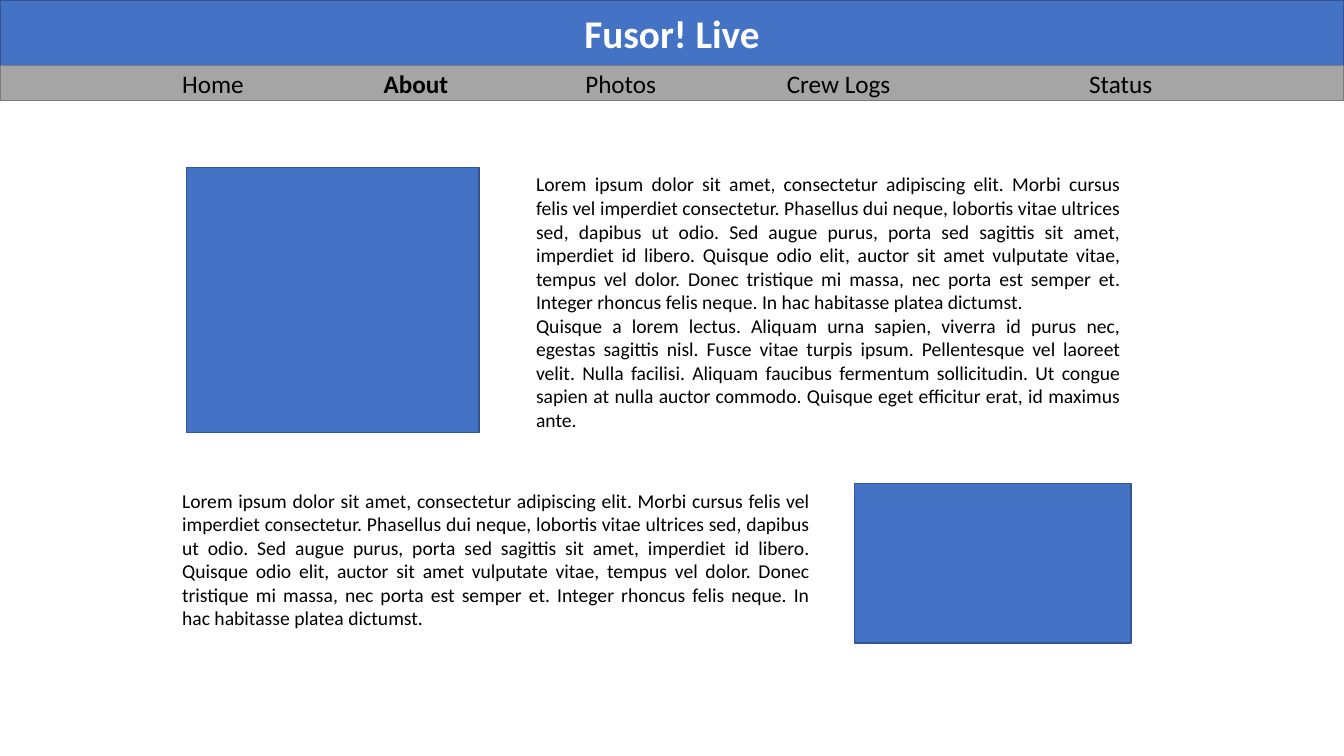
from dataclasses import dataclass

from lxml import etree
from pptx import Presentation
from pptx.dml.color import RGBColor
from pptx.enum.shapes import MSO_SHAPE
from pptx.enum.text import MSO_ANCHOR, MSO_AUTO_SIZE, PP_ALIGN
from pptx.oxml.ns import qn
from pptx.util import Cm, Pt

RECT = MSO_SHAPE.RECTANGLE
MIDDLE, TOP = MSO_ANCHOR.MIDDLE, MSO_ANCHOR.TOP
CENTER, JUSTIFY, LEFT = PP_ALIGN.CENTER, PP_ALIGN.JUSTIFY, PP_ALIGN.LEFT
FIT_SHAPE, NO_FIT = MSO_AUTO_SIZE.SHAPE_TO_FIT_TEXT, MSO_AUTO_SIZE.NONE
TITLE_ONLY = 5


@dataclass(frozen=True)
class Theme:
    font: str = "Calibri"
    blue: RGBColor = RGBColor(0x44, 0x72, 0xC4)
    blue_line: RGBColor = RGBColor(0x32, 0x54, 0x91)
    grey: RGBColor = RGBColor(0xA5, 0xA5, 0xA5)
    grey_line: RGBColor = RGBColor(0x7A, 0x7A, 0x7A)
    white: RGBColor = RGBColor(0xFF, 0xFF, 0xFF)
    black: RGBColor = RGBColor(0, 0, 0)
    title: Pt = Pt(28)
    nav: Pt = Pt(18)
    body: Pt = Pt(14)


THEME = Theme()
WIDTH, HEIGHT = 33.87, 19.05
PAGE_LEFT, PAGE_RIGHT = 4.34, 28.5

# Navigation entries with their tab stops in cm
NAV = [("Home", 0), ("About", 5.08), ("Photos", 10.16),
       ("Crew Logs", 15.24), ("Status", 22.86)]
CURRENT_PAGE = "About"

LOREM = (
    "Lorem ipsum dolor sit amet, consectetur adipiscing elit. Morbi cursus "
    "felis vel imperdiet consectetur. Phasellus dui neque, lobortis vitae "
    "ultrices sed, dapibus ut odio. Sed augue purus, porta sed sagittis sit "
    "amet, imperdiet id libero. Quisque odio elit, auctor sit amet vulputate "
    "vitae, tempus vel dolor. Donec tristique mi massa, nec porta est semper "
    "et. Integer rhoncus felis neque. In hac habitasse platea dictumst."
)
QUISQUE = (
    "Quisque a lorem lectus. Aliquam urna sapien, viverra id purus nec, "
    "egestas sagittis nisl. Fusce vitae turpis ipsum. Pellentesque vel "
    "laoreet velit. Nulla facilisi. Aliquam faucibus fermentum sollicitudin. "
    "Ut congue sapien at nulla auctor commodo. Quisque eget efficitur erat, "
    "id maximus ante."
)


def paint(sp, fill, line):
    sp.fill.solid()
    sp.fill.fore_color.rgb = fill
    sp.line.color.rgb = line
    sp.line.width = Pt(1)


def style(p, size, color, align, bold=False):
    p.alignment = align
    p.font.name = THEME.font
    p.font.size = size
    p.font.color.rgb = color
    p.font.bold = bold


def add_rect(slide, box, fill, line):
    sp = slide.shapes.add_shape(RECT, *map(Cm, box))
    sp.shadow.inherit = False
    paint(sp, fill, line)


def add_text(slide, box):
    tf = slide.shapes.add_textbox(*map(Cm, box)).text_frame
    tf.word_wrap = True
    tf.auto_size = FIT_SHAPE
    tf.vertical_anchor = TOP
    return tf


def add_banner(slide, box, text):
    sp = slide.shapes.title
    sp.left, sp.top, sp.width, sp.height = map(Cm, box)
    paint(sp, THEME.blue, THEME.blue_line)
    tf = sp.text_frame
    tf.text = text
    tf.auto_size = NO_FIT
    tf.vertical_anchor = MIDDLE
    style(tf.paragraphs[0], THEME.title, THEME.white, CENTER, bold=True)


def add_nav(slide, box):
    left, top, width, height = box
    add_rect(slide, box, THEME.grey, THEME.grey_line)
    tf = add_text(slide, (left + PAGE_LEFT, top - 0.05, 28.09, height + 0.13))
    p = tf.paragraphs[0]
    style(p, THEME.nav, THEME.black, LEFT)

    # One tab stop for each entry after the first
    stops = etree.Element(qn("a:tabLst"))
    for name, stop in NAV:
        r = p.add_run()
        r.text = f"\t{name}" if stop else name
        r.font.bold = name == CURRENT_PAGE
        if stop:
            etree.SubElement(stops, qn("a:tab"), pos=str(Cm(stop)), algn="l")
    p._p.get_or_add_pPr().insert(0, stops)


def add_feature(slide, box, photo_size, text_width, paragraphs, photo_first):
    """A photo block and a text, one at each side of the box."""
    left, top, width, height = box
    photo_width, photo_height = photo_size
    photo_left, text_left = left + width - photo_width, left
    if photo_first:
        photo_left, text_left = left, left + width - text_width

    add_rect(slide, (photo_left, top, photo_width, photo_height),
             THEME.blue, THEME.blue_line)
    tf = add_text(slide, (text_left, top, text_width, height))
    for i, text in enumerate(paragraphs):
        p = tf.add_paragraph() if i else tf.paragraphs[0]
        p.text = text
        style(p, THEME.body, THEME.black, JUSTIFY)


def main():
    prs = Presentation()
    prs.slide_width, prs.slide_height = Cm(WIDTH), Cm(HEIGHT)
    slide = prs.slides.add_slide(prs.slide_layouts[TITLE_ONLY])

    # Header
    add_banner(slide, (0, 0, WIDTH, 1.65), "Fusor! Live")
    add_nav(slide, (0, 1.65, WIDTH, 0.89))

    # Content rows
    add_feature(slide, (4.7, 4.22, PAGE_RIGHT - 4.7, 6.83), (7.37, 6.68),
                15.24, [LOREM, QUISQUE], photo_first=True)
    add_feature(slide, (PAGE_LEFT, 12.19, PAGE_RIGHT - PAGE_LEFT, 4.45),
                (6.96, 4.01), 16.33, [LOREM], photo_first=False)

    prs.save("out.pptx")


if __name__ == "__main__":
    main()
